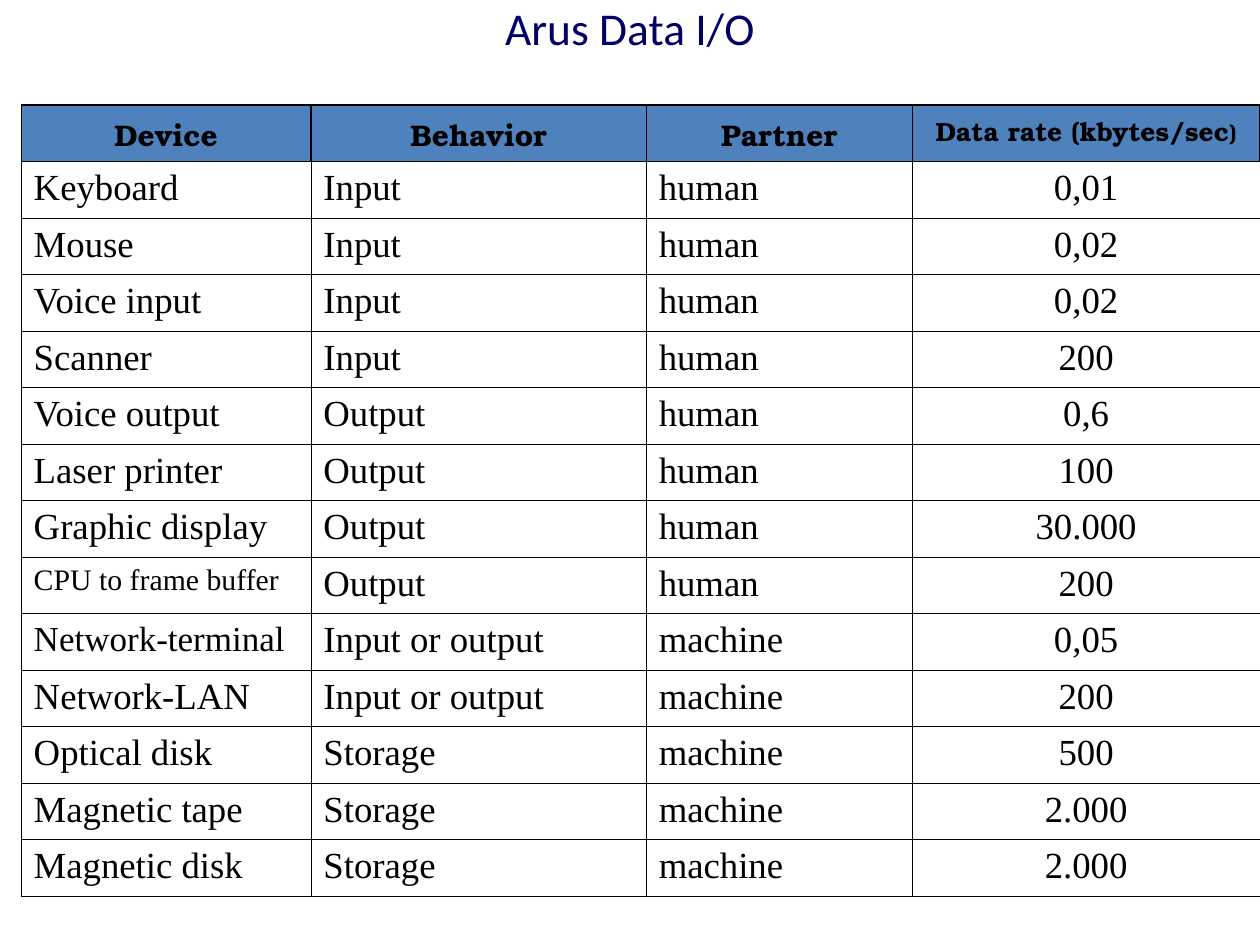
"""Build a one-page deck with a table of I/O device data rates."""
from collections import namedtuple

from lxml import etree
from pptx import Presentation
from pptx import util as u
from pptx.dml import color
from pptx.enum import text
from pptx.oxml import ns

Box = namedtuple("Box", "left top width height")

COLORS = {"title": "000066", "header": "4F81BD", "ink": "000000"}
TITLE_FONT, HEADER_FONT, BODY_FONT = "Calibri", "TeX Gyre Bonum", "Times New Roman"
THIN, THICK = u.Pt(0.45), u.Pt(0.96)
HANGING = u.Cm(0.97)
COLUMN_WIDTHS = [5.84, 6.76, 5.36, 7.01]
HEADER_HEIGHT, ROW_HEIGHT = 1.07, 1.14
ALIGNMENTS = [text.PP_ALIGN.JUSTIFY, text.PP_ALIGN.JUSTIFY,
              text.PP_ALIGN.LEFT, text.PP_ALIGN.CENTER]
HEADERS = [
    [("Device", 17)],
    [("Behavior", 17)],
    [("Partner", 17)],
    [("Data rate (kbytes/sec", 15), (")", 13)],
]
DEVICES = [
    ("Keyboard", "Input", "human", "0,01"),
    ("Mouse", "Input", "human", "0,02"),
    ("Voice input", "Input", "human", "0,02"),
    ("Scanner", "Input", "human", "200"),
    ("Voice output", "Output", "human", "0,6"),
    ("Laser printer", "Output", "human", "100"),
    ("Graphic display", "Output", "human", "30.000"),
    ("CPU to frame buffer", "Output", "human", "200"),
    ("Network-terminal", "Input or output", "machine", "0,05"),
    ("Network-LAN", "Input or output", "machine", "200"),
    ("Optical disk", "Storage", "machine", "500"),
    ("Magnetic tape", "Storage", "machine", "2.000"),
    ("Magnetic disk", "Storage", "machine", "2.000"),
]
BODY_SIZE = 21
SMALLER_SIZES = {"CPU to frame buffer": 17, "Network-terminal": 20}


def add_span(para, words, size, font, ink, bold=False):
    """Add one formatted run to a paragraph."""
    span = para.add_run()
    span.text = words
    span.font.size = u.Pt(size)
    span.font.name = font
    span.font.bold = bold
    span.font.color.rgb = color.RGBColor.from_string(COLORS[ink])


def set_borders(cell, widths):
    """Draw solid borders on a cell from a side-to-width mapping."""
    properties = cell._tc.get_or_add_tcPr()
    for side in "LRTB":
        line = etree.SubElement(properties, ns.qn(f"a:ln{side}"), w=str(int(widths[side])))
        fill = etree.SubElement(line, ns.qn("a:solidFill"))
        etree.SubElement(fill, ns.qn("a:srgbClr"), val=COLORS["ink"])


def fill_cell(cell, spans, font, alignment, borders, fill=None, bold=False):
    """Write text runs into a cell and set its frame and fill."""
    set_borders(cell, borders)
    if fill:
        cell.fill.solid()
        cell.fill.fore_color.rgb = color.RGBColor.from_string(COLORS[fill])
    else:
        cell.fill.background()
    cell.margin_left = cell.margin_right = u.Cm(0.25)
    cell.margin_top = cell.margin_bottom = u.Cm(0.13)
    para = cell.text_frame.paragraphs[0]
    para.alignment = alignment
    indents = para._p.get_or_add_pPr()
    indents.set("marL", str(HANGING))
    indents.set("indent", str(-HANGING))
    for words, size in spans:
        add_span(para, words, size, font, "ink", bold)


def place_title(page, box):
    """Move the title placeholder into the box and write the heading."""
    title = page.shapes.title
    title.left, title.top, title.width, title.height = box
    frame = title.text_frame
    frame.auto_size = text.MSO_AUTO_SIZE.NONE
    frame.vertical_anchor = text.MSO_ANCHOR.MIDDLE
    para = frame.paragraphs[0]
    para.alignment = text.PP_ALIGN.CENTER
    add_span(para, "Arus Data I/O", 26, TITLE_FONT, "title")


def place_rate_table(page, box):
    """Place the table of devices and their data rates in the box."""
    table = page.shapes.add_table(len(DEVICES) + 1, len(HEADERS), *box).table
    table.first_row = table.horz_banding = False
    for column, width in zip(table.columns, COLUMN_WIDTHS):
        column.width = u.Cm(width)
    for index, row in enumerate(table.rows):
        row.height = u.Cm(ROW_HEIGHT if index else HEADER_HEIGHT)

    for column, spans in enumerate(HEADERS):
        fill_cell(table.cell(0, column), spans, HEADER_FONT, text.PP_ALIGN.CENTER,
                  dict.fromkeys("LRTB", THICK), "header", bold=True)
    for row, device in enumerate(DEVICES, start=1):
        borders = dict.fromkeys("LRTB", THIN)
        if row == 1:
            borders["T"] = THICK
        for column, words in enumerate(device):
            size = SMALLER_SIZES.get(words, BODY_SIZE)
            fill_cell(table.cell(row, column), [(words, size)], BODY_FONT,
                      ALIGNMENTS[column], borders)


def main():
    """Create the deck and save it."""
    deck = Presentation()
    deck.slide_width, deck.slide_height = u.Cm(25.4), u.Cm(19.05)
    page = deck.slides.add_slide(deck.slide_layouts[5])
    place_title(page, Box(u.Cm(1.27), u.Cm(0), u.Cm(22.86), u.Cm(1.12)))
    table_height = HEADER_HEIGHT + ROW_HEIGHT * len(DEVICES)
    place_rate_table(page, Box(u.Cm(0.43), u.Cm(2.12),
                               u.Cm(sum(COLUMN_WIDTHS)), u.Cm(table_height)))
    deck.save("out.pptx")


if __name__ == "__main__":
    main()
